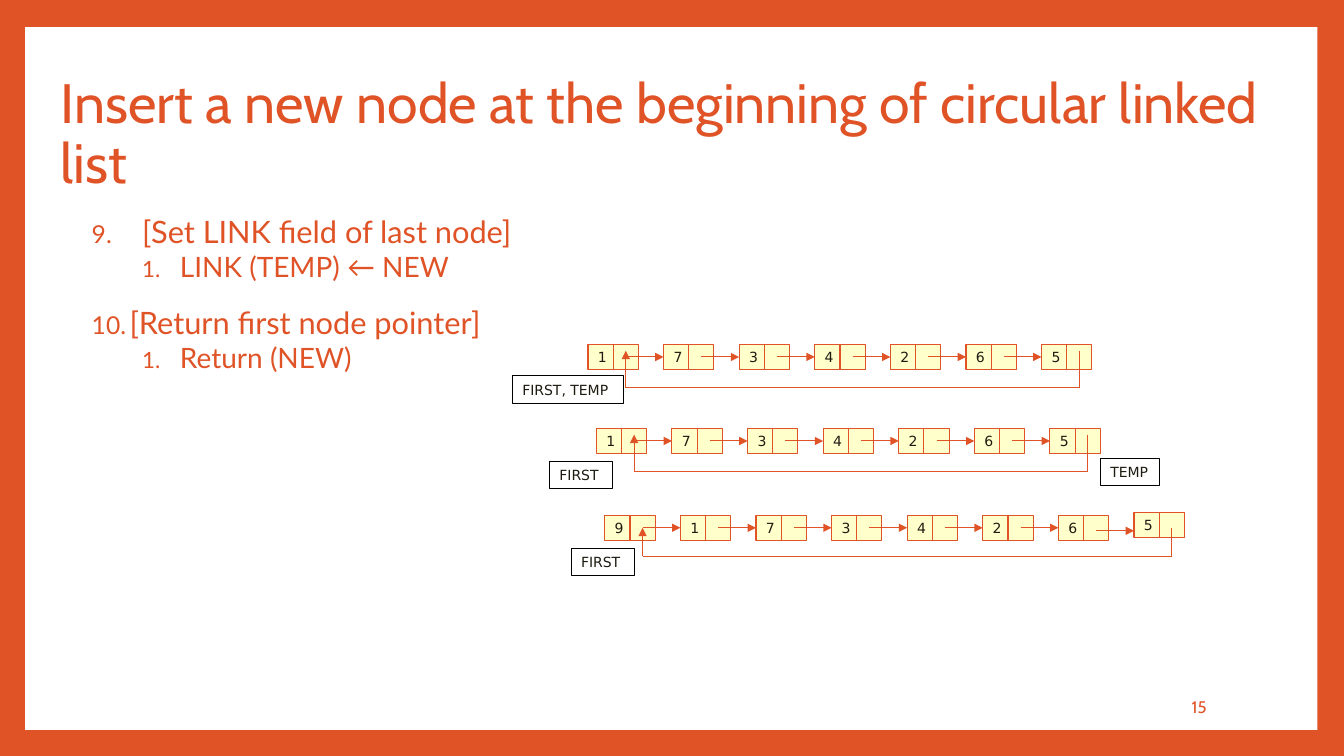
"""Build a slide on inserting a node at the start of a circular linked list."""
from lxml import etree
from pptx import Presentation
from pptx.dml import color
from pptx.enum import shapes, text
from pptx.oxml import ns
from pptx.util import Pt

ORANGE, YELLOW, DARK = "DF5327", "FFFFCC", "1E1C11"
CELL, PITCH = 18, 54


def rgb(value):
    """Return the colour of a hex string."""
    return color.RGBColor.from_string(value)


def xml(parent, tag, **attrs):
    """Append a DrawingML element to parent."""
    return etree.SubElement(parent, ns.qn("a:" + tag), attrs)


def set_font(p, size, name, hue):
    """Set the font of a paragraph."""
    p.font.size, p.font.name = Pt(size), name
    p.font.color.rgb = rgb(hue)


def place(sp, x, y, w, h):
    """Move and size a shape."""
    sp.left, sp.top, sp.width, sp.height = Pt(x), Pt(y), Pt(w), Pt(h)


def add_rect(parent, x, y, w, h, fill=None, line=None, label=""):
    """Add a rectangle, with a small label if given."""
    sp = parent.shapes.add_shape(shapes.MSO_SHAPE.RECTANGLE,
                                 Pt(x), Pt(y), Pt(w), Pt(h))
    sp.shadow.inherit = False
    if fill:
        sp.fill.solid()
        sp.fill.fore_color.rgb = rgb(fill)
    else:
        sp.fill.background()
    if line:
        sp.line.color.rgb = rgb(line)
        sp.line.width = Pt(0.75)
    else:
        sp.line.fill.background()
    if label:
        tf = sp.text_frame
        tf.word_wrap = False
        tf.margin_right = 0
        tf.vertical_anchor = text.MSO_ANCHOR.MIDDLE
        p = tf.paragraphs[0]
        p.text, p.alignment = label, text.PP_ALIGN.LEFT
        set_font(p, 10, "DejaVu Sans", DARK)
    return sp


def add_line(parent, x1, y1, x2, y2, arrow=False):
    """Add a straight line, with an arrowhead at its end if asked."""
    c = parent.shapes.add_connector(shapes.MSO_CONNECTOR.STRAIGHT,
                                    Pt(x1), Pt(y1), Pt(x2), Pt(y2))
    c.line.color.rgb = rgb(ORANGE)
    c.line.width = Pt(0.75)
    if arrow:
        xml(c.line._get_or_add_ln(), "tailEnd", type="triangle")
    xml(c._element.spPr, "effectLst")
    return c


def add_ring(s, x, y, values, loop_top=4.5, loop_bottom=31, last_rise=0):
    """Add a circular list of nodes, its links and its return path."""
    ring = s.shapes.add_group_shape()
    last = len(values) - 1
    link_x = x + 1.5 * CELL
    for i, value in enumerate(values):
        left = x + i * PITCH
        top = y - (last_rise if i == last else 0)
        node = add_rect(ring, left, top, CELL, CELL, YELLOW, ORANGE, value)
        add_rect(ring, left + CELL, top, CELL, CELL, YELLOW, ORANGE)
        if i:
            skew = last_rise if i == last else 0
            link_y = y + CELL / 2 + skew
            link = add_line(ring, link_x + (i - 1) * PITCH, link_y,
                            left, link_y, True)
            if not skew:
                link.end_connect(node, 1)
    end_x = link_x + last * PITCH
    add_line(ring, end_x, y + loop_top, end_x, y + loop_bottom)
    add_line(ring, end_x, y + loop_bottom, link_x, y + loop_bottom)
    add_line(ring, link_x, y + loop_bottom, link_x, y + loop_top, True)


def add_step(p, words, level, hang):
    """Fill a numbered paragraph of the algorithm."""
    p.text, p.level, p.alignment = words, level, text.PP_ALIGN.JUSTIFY
    p.line_spacing = 0.9
    p.space_before, p.space_after = Pt(2 if level else 14), Pt(4 * level)
    pPr = p._p.get_or_add_pPr()
    pPr.set("marL", str(Pt(63 if level else hang)))
    pPr.set("indent", str(-Pt(hang)))
    xml(xml(pPr, "buClr"), "srgbClr", val=ORANGE)
    xml(pPr, "buSzPct", val="80000")
    xml(pPr, "buFont", typeface="+mj-lt")
    xml(pPr, "buAutoNum", type="arabicPeriod", startAt="1" if level else "9")
    set_font(p, 20 if level else 22, "Lato", ORANGE)


def fill_title(title):
    """Write the slide title."""
    place(title, 36, 69.84, 888, 54)
    tf = title.text_frame
    tf.auto_size = text.MSO_AUTO_SIZE.NONE
    tf.vertical_anchor = text.MSO_ANCHOR.MIDDLE
    p = tf.paragraphs[0]
    p.text = "Insert a new node at the beginning of circular linked list"
    p.alignment, p.line_spacing = text.PP_ALIGN.LEFT, 0.9
    set_font(p, 39.6, "Cabin", ORANGE)


def fill_steps(body):
    """Write the numbered steps."""
    place(body, 58.32, 151.2, 777.6, 318.24)
    tf = body.text_frame
    tf.auto_size = text.MSO_AUTO_SIZE.NONE
    steps = [("[Set LINK field of last node]", 0, 36),
             ("LINK (TEMP) ← NEW", 1, 27),
             ("[Return first node pointer]", 0, 27),
             ("Return (NEW)", 1, 27)]
    for i, step in enumerate(steps):
        add_step(tf.add_paragraph() if i else tf.paragraphs[0], *step)


def add_number(s, number):
    """Add the slide number."""
    tf = s.shapes.add_textbox(Pt(734.4), Pt(490.3), Pt(134.6), Pt(28.8)).text_frame
    tf.word_wrap = True
    tf.vertical_anchor = text.MSO_ANCHOR.MIDDLE
    p = tf.paragraphs[0]
    p.text, p.alignment = number, text.PP_ALIGN.RIGHT
    set_font(p, 12, "Cabin", ORANGE)


def main():
    """Build and save the slide."""
    prs = Presentation()
    prs.slide_width, prs.slide_height = Pt(960), Pt(540)
    s = prs.slides.add_slide(prs.slide_layouts[1])
    s.background.fill.solid()
    s.background.fill.fore_color.rgb = rgb(ORANGE)
    panel = add_rect(s, 18, 19.4, 923, 502, "FFFFFF")
    s.shapes._spTree.insert(2, panel._element)
    fill_title(s.shapes.title)
    fill_steps(s.placeholders[1])
    add_number(s, "15")
    add_ring(s, 420, 246, "1734265")
    add_ring(s, 426, 306, "1734265")
    add_ring(s, 432, 368, "91734265", 9, 29.5, 2.2)
    for label, x, y, w in [("FIRST, TEMP", 366, 268.5, 79.5),
                           ("FIRST", 392.5, 329.5, 45),
                           ("FIRST", 408, 391.5, 45),
                           ("TEMP", 786, 327.5, 42)]:
        add_rect(s, x, y, w, 19.5, None, "000000", label)
    prs.save("out.pptx")


if __name__ == "__main__":
    main()
